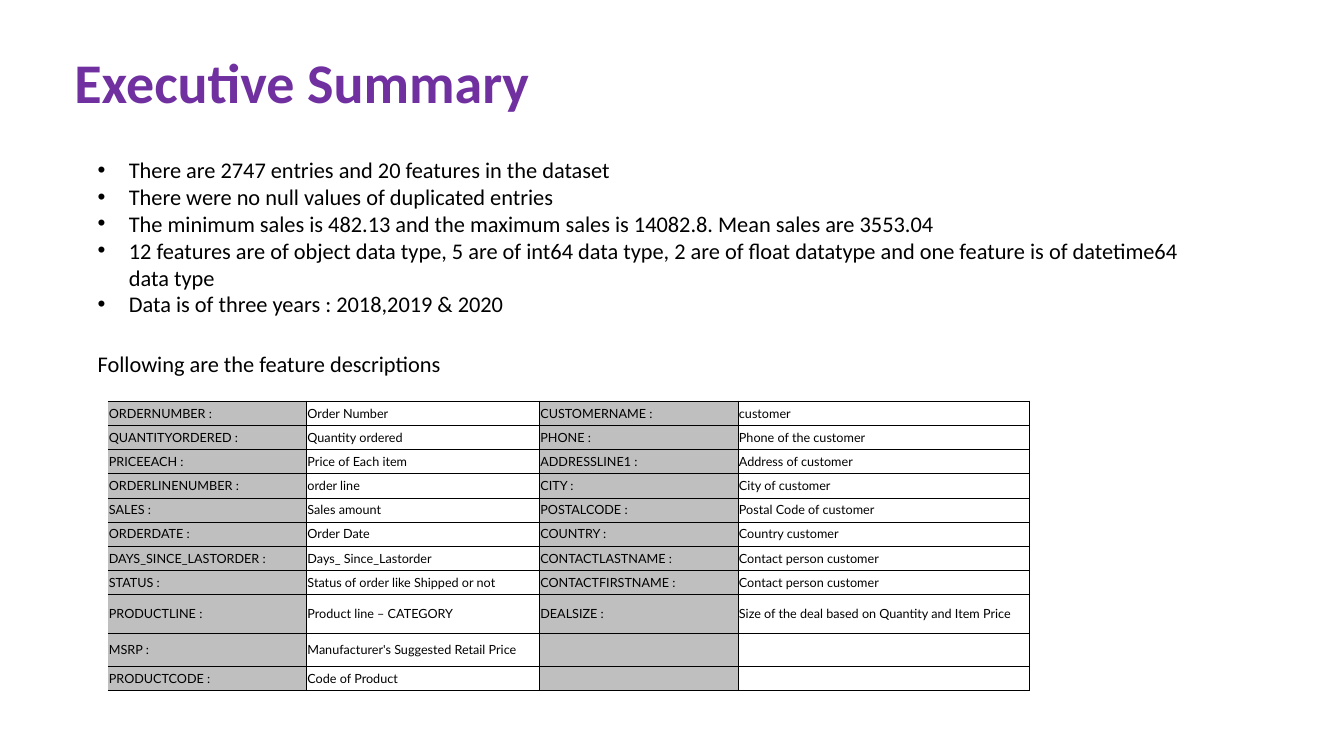
from dataclasses import dataclass

from lxml import etree
from pptx import Presentation
from pptx import util as u
from pptx.dml.color import RGBColor
from pptx.enum import text
from pptx.oxml import ns


@dataclass(frozen=True)
class Theme:
    title: str = "7030A0"
    ink: str = "000000"
    label: str = "BFBFBF"
    paper: str = "FFFFFF"
    body_font: str = "Calibri"
    table_font: str = "Lato"
    title_size: int = 40
    body_size: int = 16
    cell_size: int = 9
    outer: float = 1
    inner: float = 0.5


BULLETS = [
    "There are 2747 entries and 20 features in the dataset",
    "There were no null values of duplicated entries",
    "The minimum sales is 482.13 and the maximum sales is 14082.8. Mean sales are 3553.04",
    "12 features are of object data type, 5 are of int64 data type, 2 are of float datatype "
    "and one feature is of datetime64 data type",
    "Data is of three years : 2018,2019 & 2020",
]

FEATURES = [
    ("ORDERNUMBER :", "Order Number", "CUSTOMERNAME :", "customer"),
    ("QUANTITYORDERED :", "Quantity ordered", "PHONE :", "Phone of the customer"),
    ("PRICEEACH :", "Price of Each item", "ADDRESSLINE1 :", "Address of customer"),
    ("ORDERLINENUMBER :", "order line", "CITY :", "City of customer"),
    ("SALES :", "Sales amount", "POSTALCODE :", "Postal Code of customer"),
    ("ORDERDATE :", "Order Date", "COUNTRY :", "Country customer"),
    ("DAYS_SINCE_LASTORDER :", "Days_ Since_Lastorder", "CONTACTLASTNAME :", "Contact person customer"),
    ("STATUS :", "Status of order like Shipped or not", "CONTACTFIRSTNAME :", "Contact person customer"),
    ("PRODUCTLINE :", "Product line – CATEGORY", "DEALSIZE :",
     "Size of the deal based on Quantity and Item Price"),
    ("MSRP :", "Manufacturer's Suggested Retail Price", "", ""),
    ("PRODUCTCODE :", "Code of Product", "", ""),
]
COLUMN_WIDTHS = [1.97, 2.31, 1.97, 2.89]
ROW_HEIGHTS = [0.24] * 8 + [0.38, 0.33, 0.24]


def write(p, content, *, size, font, color, bold=False, bullet=False):
    if not content:
        etree.SubElement(p._p, ns.qn("a:endParaRPr"), sz=str(size * 100))
        return
    r = p.add_run()
    r.text = content
    r.font.size = u.Pt(size)
    r.font.name = font
    r.font.bold = bold
    r.font.color.rgb = RGBColor.from_string(color)
    if bullet:
        pPr = p._p.get_or_add_pPr()
        indent = u.Inches(0.31)
        pPr.set("marL", str(indent))
        pPr.set("indent", str(-indent))
        etree.SubElement(pPr, ns.qn("a:buFont"), typeface="Arial")
        etree.SubElement(pPr, ns.qn("a:buChar"), char="•")


class SlideBuilder:
    def __init__(self, slide, theme):
        self.slide = slide
        self.theme = theme

    def text_box(self, lines, left, top, width, height, **style):
        sp = self.slide.shapes.add_textbox(*map(u.Inches, (left, top, width, height)))
        tf = sp.text_frame
        tf.word_wrap = True
        tf.auto_size = text.MSO_AUTO_SIZE.SHAPE_TO_FIT_TEXT
        for i, line in enumerate(lines):
            p = tf.add_paragraph() if i else tf.paragraphs[0]
            write(p, line, **style)

    def border(self, cell, side, width):
        tcPr = cell._tc.get_or_add_tcPr()
        ln = etree.SubElement(tcPr, ns.qn(f"a:ln{side}"), w=str(u.Pt(width)))
        if width:
            fill = etree.SubElement(ln, ns.qn("a:solidFill"))
            etree.SubElement(fill, ns.qn("a:srgbClr"), val=self.theme.ink)
        else:
            etree.SubElement(ln, ns.qn("a:noFill"))

    def table(self, rows, left, top, widths, heights):
        t = self.theme
        box = map(u.Inches, (left, top, sum(widths), sum(heights)))
        table = self.slide.shapes.add_table(len(rows), len(widths), *box).table
        table.first_row = table.horz_banding = False
        for column, width in zip(table.columns, widths):
            column.width = u.Inches(width)
        last_row, last_col = len(rows) - 1, len(widths) - 1
        for i, row in enumerate(rows):
            table.rows[i].height = u.Inches(heights[i])
            for j, content in enumerate(row):
                cell = table.cell(i, j)
                cell.margin_left = cell.margin_right = u.Inches(0.01)
                cell.margin_top = cell.margin_bottom = u.Inches(0.03)
                cell.vertical_anchor = text.MSO_ANCHOR.MIDDLE
                self.border(cell, "L", t.inner if j else 0)
                self.border(cell, "R", t.outer if j == last_col else t.inner)
                self.border(cell, "T", t.inner if i else t.outer)
                self.border(cell, "B", t.outer if i == last_row else t.inner)
                cell.fill.solid()
                cell.fill.fore_color.rgb = RGBColor.from_string(t.paper if j % 2 else t.label)
                write(cell.text_frame.paragraphs[0], content,
                      size=t.cell_size, font=t.table_font, color=t.ink)


def main():
    prs = Presentation()
    prs.slide_width, prs.slide_height = u.Inches(13.33), u.Inches(7.5)
    t = Theme()
    s = SlideBuilder(prs.slides.add_slide(prs.slide_layouts[6]), t)
    body = dict(size=t.body_size, font=t.body_font, color=t.ink)
    s.text_box(["Executive Summary"], 0.64, 0.42, 7.52, 0.77,
               size=t.title_size, font=t.body_font, color=t.title, bold=True)
    s.text_box(BULLETS, 0.87, 1.5, 11.35, 1.72, bullet=True, **body)
    s.text_box(["Following are the feature descriptions"], 0.87, 3.42, 5.28, 0.37, **body)
    s.table(FEATURES, 1.07, 3.98, COLUMN_WIDTHS, ROW_HEIGHTS)
    prs.save("out.pptx")


if __name__ == "__main__":
    main()
